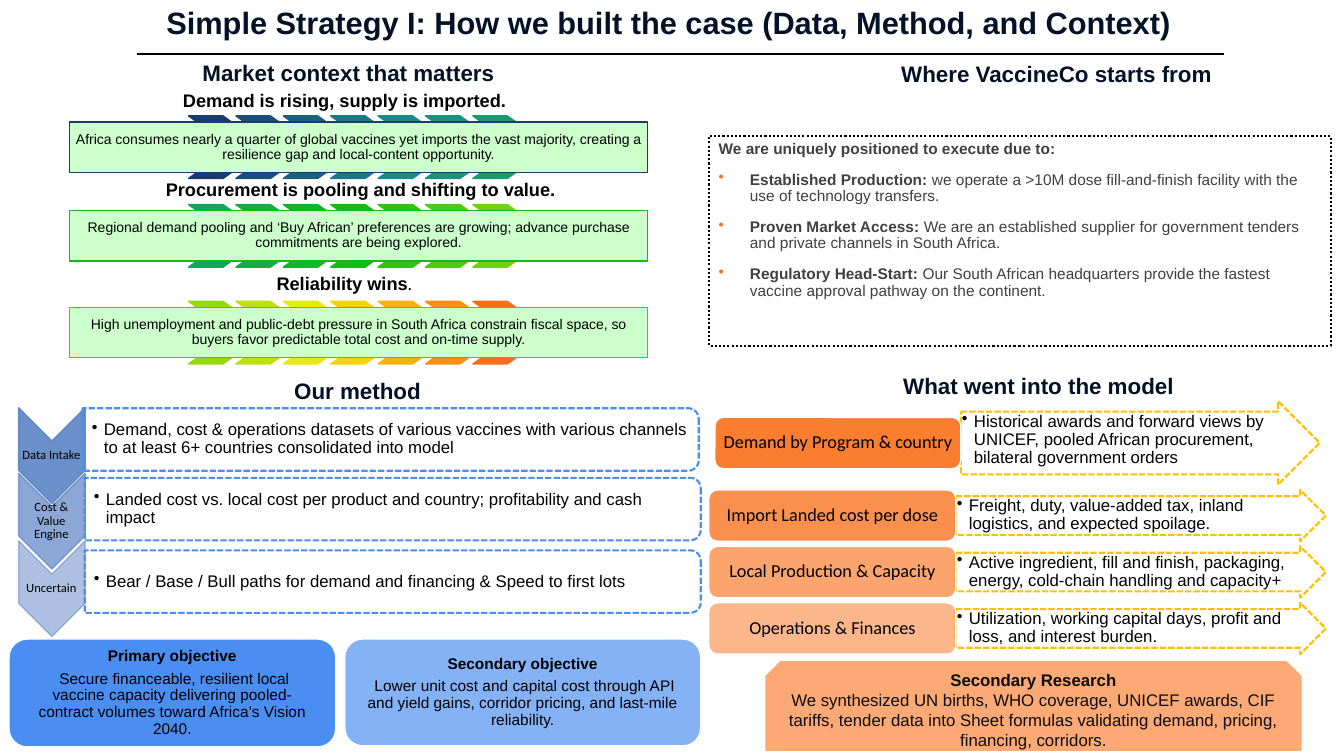
from pptx import Presentation
from pptx.dml.color import RGBColor
from pptx.enum import dml, shapes, text
from pptx.oxml.ns import qn
from pptx.util import Inches, Pt
from lxml import etree

GEOMETRY = shapes.MSO_SHAPE
ALIGN = text.PP_ALIGN
ANCHOR = text.MSO_ANCHOR
DASHES = {"dash": dml.MSO_LINE.SQUARE_DOT, "dot": dml.MSO_LINE.ROUND_DOT}

NAVY, BLUE, STEEL, ORANGE = "031227", "4A8EF2", "5C83C4", "FA6F1A"
CENTRED = dict(align=ALIGN.CENTER, anchor=ANCHOR.MIDDLE)
BULLET = dict(bullet="000000", indent=0.12, size=12)

CONTEXT = [  # top of chevrons, caption box, caption, statement, outline, chevrons
    (1.15, (1.74, 0.86, 3.35, 0.3), ["Demand is rising, supply is imported."],
     "Africa consumes nearly a quarter of global vaccines yet imports the vast majority, "
     "creating a resilience gap and local-content opportunity.",
     "1A3B70", "1A3B70 1A4D77 1A617E 1A7785 1A8C88 19937C 199B6D"),
    (2.03, (1.47, 1.81, 4.21, 0.23), ["Procurement is pooling and shifting to value."],
     "Regional demand pooling and ‘Buy African’ preferences are growing; "
     "advance purchase commitments are being explored.",
     "16B916", "18A25B 17AA47 17B12F 16B916 31C115 4FC913 6FD212"),
    (2.99, (1.74, 2.67, 3.35, 0.3),
     [[("Reliability wins", {}), (".", dict(bold=False, font="Calibri"))]],
     "High unemployment and public-debt pressure in South Africa constrain fiscal space, "
     "so buyers favor predictable total cost and on-time supply.",
     "FA6F1A", "93DA11 BAE20F E5EB0E F3D40C F6B211 F89015 FA6F1A"),
]
METHOD = [  # step, chevron centre, bar left, bar centre, opacity, explanation
    ("Data Intake", 4.52, 0.82, 4.36, 90,
     "Demand, cost & operations datasets of various vaccines with various channels "
     "to at least 6+ countries consolidated into model"),
    ("Cost & Value Engine", 5.17, 0.84, 5.05, 70,
     "Landed cost vs. local cost per product and country; profitability and cash impact"),
    ("Uncertain", 5.84, 0.84, 5.77, 50,
     "Bear / Base / Bull paths for demand and financing & Speed to first lots"),
]
FIRST_INPUT = ("Demand by Program & country",
               "Historical awards and forward views by UNICEF, pooled African procurement, "
               "bilateral government orders")
OTHER_INPUTS = [
    ("Import Landed cost per dose", 77,
     "Freight, duty, value-added tax, inland logistics, and expected spoilage."),
    ("Local Production & Capacity", 63,
     "Active ingredient, fill and finish, packaging, energy, cold-chain handling and capacity+"),
    ("Operations & Finances", 50,
     "Utilization, working capital days, profit and loss, and interest burden."),
]
STRENGTHS = [
    ("Established Production:",
     " we operate a >10M dose fill-and-finish facility with the use of technology transfers."),
    ("Proven Market Access:",
     " We are an established supplier for government tenders and private channels in South Africa."),
    ("Regulatory Head-Start:",
     " Our South African headquarters provide the fastest vaccine approval pathway on the continent."),
]


def rgb(hex_colour):
    return RGBColor.from_string(hex_colour)


def inches(box):
    return [Inches(length) for length in box]


def add_bullet(paragraph, colour, indent):
    props = paragraph._p.get_or_add_pPr()
    props.set("marL", str(Inches(indent)))
    props.set("indent", str(-Inches(indent)))
    bullet_colour = etree.SubElement(props, qn("a:buClr"))
    etree.SubElement(bullet_colour, qn("a:srgbClr"), val=colour)
    etree.SubElement(props, qn("a:buChar"), char="•")


def write(holder, paragraphs, size=12, font="Arial", colour="000000", bold=False,
          align=ALIGN.LEFT, anchor=ANCHOR.TOP, insets=(0.1, 0.05, 0.1, 0.05),
          leading=0.9, before=0, after=0, bullet=None, indent=0, bullets_from=0):
    """Each paragraph is a string or a list of (text, format changes) runs."""
    frame = holder.text_frame
    frame.word_wrap = True
    frame.auto_size = text.MSO_AUTO_SIZE.NONE
    frame.vertical_anchor = anchor
    (frame.margin_left, frame.margin_top,
     frame.margin_right, frame.margin_bottom) = inches(insets)
    for number, runs in enumerate(paragraphs):
        paragraph = frame.add_paragraph() if number else frame.paragraphs[0]
        if bullet and number >= bullets_from:
            add_bullet(paragraph, bullet, indent)
        paragraph.alignment = align
        paragraph.line_spacing = leading
        paragraph.space_before = Pt(before if number else 0)
        paragraph.space_after = Pt(after)
        for words, changes in [(runs, {})] if isinstance(runs, str) else runs:
            run = paragraph.add_run()
            run.text = words
            run.font.size = Pt(size)
            run.font.name = changes.get("font", font)
            run.font.bold = changes.get("bold", bold)
            run.font.color.rgb = rgb(colour)


def label(slide, box, paragraphs, **style):
    write(slide.shapes.add_textbox(*inches(box)), paragraphs, **style)


def draw(slide, geometry, box, fill=None, line=None, width=1.0, dash=None,
         opacity=None, adjust=(), turn=0):
    shape = slide.shapes.add_shape(geometry, *inches(box))
    shape.shadow.inherit = False
    shape.rotation = turn
    for index, value in enumerate(adjust):
        shape.adjustments[index] = value
    if fill:
        shape.fill.solid()
        shape.fill.fore_color.rgb = rgb(fill)
    else:
        shape.fill.background()
    if line:
        shape.line.color.rgb = rgb(line)
        shape.line.width = Pt(width)
        if dash:
            shape.line.dash_style = DASHES[dash]
    else:
        shape.line.fill.background()
    if opacity:
        for tint in shape._element.spPr.iter(qn("a:srgbClr")):
            if tint.get("val") == fill:
                etree.SubElement(tint, qn("a:alpha"), val=str(opacity * 1000))
    return shape


def heading(slide, box, words):
    label(slide, box, [words], size=16, bold=True, colour=NAVY)


def context_row(slide, top, caption_box, caption, statement, outline, colours):
    label(slide, caption_box, caption, size=13, bold=True, align=ALIGN.CENTER,
          anchor=ANCHOR.BOTTOM, insets=(0.05,) * 4)
    for column, colour in enumerate(colours.split()):
        draw(slide, GEOMETRY.CHEVRON, (1.87 + 0.47 * column, top, 0.78, 0.62),
             fill=colour, line=colour, adjust=[0.706])
    panel = draw(slide, GEOMETRY.RECTANGLE, (0.69, top + 0.06, 5.73, 0.5),
                 fill="CCFFCC", line=outline)
    write(panel, [statement], size=10, insets=(0.03,) * 4, **CENTRED)


def method_step(slide, step, step_y, bar_left, bar_y, opacity, explanation):
    draw(slide, GEOMETRY.CHEVRON, (0.04, step_y - 0.33, 0.95, 0.66), fill=STEEL,
         line=STEEL, opacity=opacity, turn=90)
    label(slide, (0.18, step_y - 0.14, 0.66, 0.28), [step], size=9, font="Calibri",
          insets=(0.01,) * 4, **CENTRED)
    length, height = 6.11, 0.62
    draw(slide, GEOMETRY.ROUND_2_SAME_RECTANGLE,
         (bar_left + (length - height) / 2, bar_y - length / 2, height, length),
         line=BLUE, width=1.5, dash="dash", turn=90)
    label(slide, (bar_left, bar_y - 0.28, 6.08, 0.56), [explanation],
          anchor=ANCHOR.MIDDLE, insets=(0.09, 0.01, 0.01, 0.01), **BULLET)


def model_input(slide, name, detail, name_box, arrow_box, opacity):
    arrow = draw(slide, GEOMETRY.RIGHT_ARROW, arrow_box, line="FFC000", width=1.5,
                 dash="dash", adjust=[0.75, 0.5])
    head_inset = 0.01 + arrow_box[3] / 4
    write(arrow, [detail], insets=(0.01, 0.01, head_inset, 0.01), **BULLET)
    tab = draw(slide, GEOMETRY.ROUNDED_RECTANGLE, name_box, fill=ORANGE,
               line="FFFFFF", opacity=opacity)
    write(tab, [name], size=13, font="Calibri", insets=(0.05, 0.03, 0.05, 0.03), **CENTRED)


def objective(slide, box, fill, name, detail):
    card = draw(slide, GEOMETRY.FLOWCHART_ALTERNATE_PROCESS, box, fill=fill, line="FFFFFF")
    write(card, [[(name, dict(bold=True))], detail], size=11, after=4,
          insets=(0.16, 0.05, 0.16, 0.05), **CENTRED)


def main():
    deck = Presentation()
    deck.slide_width, deck.slide_height = Inches(13.33), Inches(7.5)
    slide = deck.slides.add_slide(deck.slide_layouts[5])

    # Title and rule
    title = slide.shapes.title
    title.left, title.top, title.width, title.height = inches((1.55, 0.03, 10.96, 0.66))
    write(title, ["Simple Strategy I: How we built the case (Data, Method, and Context)"],
          size=22, bold=True, colour=NAVY)
    rule = slide.shapes.add_connector(shapes.MSO_CONNECTOR.STRAIGHT,
                                      *inches((1.36, 0.54, 12.14, 0.54)))
    rule.line.color.rgb = rgb("000000")
    rule.line.width = Pt(1.5)
    etree.SubElement(rule._element.spPr, qn("a:effectLst"))

    # Method
    heading(slide, (2.82, 3.72, 1.84, 0.5), "Our method")
    for step in METHOD:
        method_step(slide, *step)

    # Model inputs
    heading(slide, (8.86, 3.67, 3.57, 0.5), "What went into the model")
    model_input(slide, *FIRST_INPUT, (7.09, 4.14, 2.44, 0.51), (9.53, 3.98, 3.56, 0.83), 90)
    for row, (name, opacity, detail) in enumerate(OTHER_INPUTS):
        top = 4.86 + 0.56 * row
        model_input(slide, name, detail, (7.03, top, 2.45, 0.51),
                    (9.48, top, 3.67, 0.51), opacity)

    # Market context
    heading(slide, (1.91, 0.57, 3.3, 0.5), "Market context that matters")
    for row in CONTEXT:
        context_row(slide, *row)

    # Starting position
    heading(slide, (8.84, 0.58, 3.45, 0.32), "Where VaccineCo starts from")
    position = draw(slide, GEOMETRY.RECTANGLE, (7.03, 1.35, 6.17, 2.08), line="000000",
                    width=1.5, dash="dot")
    strengths = [[(name, dict(bold=True)), (detail, {})] for name, detail in STRENGTHS]
    intro = [("We are uniquely positioned to execute due to:", dict(bold=True))]
    write(position, [intro] + strengths, size=11, colour="404040", before=10,
          bullet=ORANGE, indent=0.31, bullets_from=1)

    # Objectives and research
    objective(slide, (3.42, 6.34, 3.53, 1.06), "85B2F6", "Secondary objective",
              " Lower unit cost and capital cost through API and yield gains, "
              "corridor pricing, and last-mile reliability.")
    objective(slide, (0.09, 6.34, 3.24, 1.07), BLUE, "Primary objective",
              " Secure financeable, resilient local vaccine capacity delivering "
              "pooled-contract volumes toward Africa’s Vision 2040.")
    research = draw(slide, GEOMETRY.SNIP_2_SAME_RECTANGLE, (7.59, 6.56, 5.32, 0.89),
                    fill="FCA976")
    write(research, [[("Secondary Research", dict(bold=True))],
                     "We synthesized UN births, WHO coverage, UNICEF awards, CIF tariffs, "
                     "tender data into Sheet formulas validating demand, pricing, "
                     "financing, corridors."],
          colour="0D0D0D", leading=1.0, **CENTRED)

    deck.save("out.pptx")


if __name__ == "__main__":
    main()
